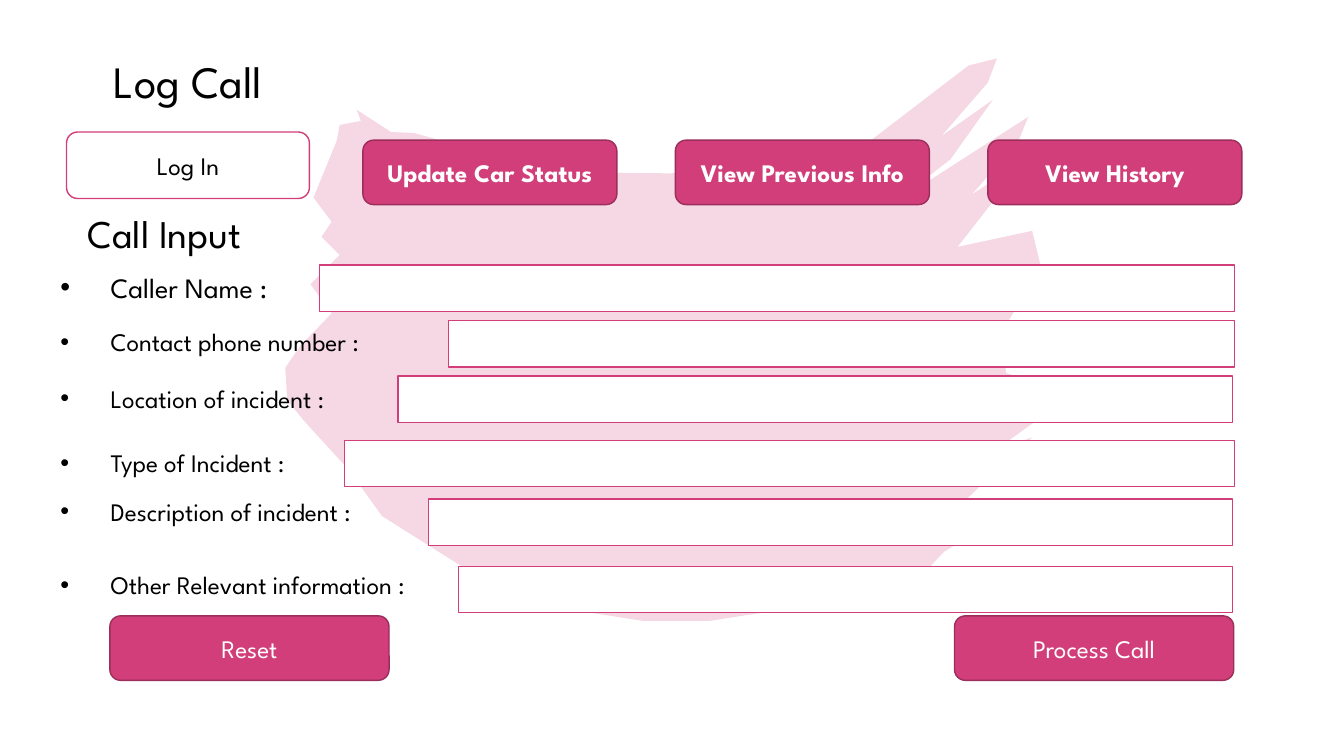
"""Build the Log Call form slide with its navigation buttons and input fields."""
from pptx import Presentation
from pptx.dml.color import RGBColor
from pptx.enum.shapes import MSO_SHAPE
from pptx.enum.text import MSO_ANCHOR, MSO_AUTO_SIZE, PP_ALIGN
from pptx.oxml.ns import qn
from pptx.util import Pt
from lxml.etree import SubElement

PX = 9144
FONT = "League Spartan"
COLORS = {"pink": "D13E79", "dark": "9B2E5A", "white": "FFFFFF", "black": "000000"}
RGB = {name: RGBColor.from_string(value) for name, value in COLORS.items()}


def add_box(kind, x, y, w, h, fill, line):
    sp = s.shapes.add_shape(kind, x * PX, y * PX, w * PX, h * PX)
    sp.shadow.inherit = False
    sp.fill.solid()
    sp.fill.fore_color.rgb = RGB[fill]
    sp.line.color.rgb = RGB[line]
    sp.line.width = Pt(1)
    return sp


def write(sp, text, size, color, align, anchor, bold=False):
    tf = sp.text_frame
    tf.text = text
    tf.word_wrap = True
    tf.vertical_anchor = anchor
    if anchor == MSO_ANCHOR.TOP:
        tf.auto_size = MSO_AUTO_SIZE.SHAPE_TO_FIT_TEXT
    p = tf.paragraphs[0]
    p.alignment = align
    font = p.runs[0].font
    font.name, font.size, font.bold = FONT, Pt(size), bold
    font.color.rgb = RGB[color]
    return p


prs = Presentation()
prs.slide_width, prs.slide_height = 12192000, 750 * PX
s = prs.slides.add_slide(prs.slide_layouts[5])

title = s.shapes.title
title.left, title.top, title.width, title.height = 66 * PX, 48 * PX, 241 * PX, 64 * PX
write(title, "Log Call", 32, "black", PP_ALIGN.CENTER, MSO_ANCHOR.TOP)

brush = [
    (443, 141), (508, 161), (578, 171), (665, 172), (769, 167), (863, 140), (961, 65),
    (989, 58), (980, 82), (934, 135), (985, 99), (943, 158), (888, 201), (1020, 116),
    (1010, 141), (964, 193), (1017, 159), (950, 245), (1024, 229), (1032, 262),
    (976, 303), (1014, 296), (994, 329), (998, 370), (1046, 386), (1015, 404),
    (1048, 403), (987, 447), (1024, 434), (959, 495), (980, 494), (927, 528),
    (982, 521), (937, 547), (920, 565), (793, 602), (704, 616), (638, 616), (574, 606),
    (520, 591), (471, 570), (379, 512), (346, 466), (302, 418), (285, 397), (283, 365),
    (298, 343), (329, 311), (308, 282), (337, 253), (319, 235), (329, 220), (311, 196),
    (334, 140), (337, 124), (358, 120), (354, 109), (388, 131), (411, 132),
]
fb = s.shapes.build_freeform(*brush[0], scale=PX)
fb.add_line_segments(brush[1:], close=True)
blob = fb.convert_to_shape()
blob.shadow.inherit = False
blob.fill.solid()
blob.fill.fore_color.rgb = RGB["pink"]
blob.line.fill.background()
SubElement(blob.element.spPr.find(".//" + qn("a:srgbClr")), qn("a:alpha"), val="20000")
title.element.addprevious(blob.element)

buttons = [
    ("Reset", 109, 611, 277, False),
    ("Process Call", 947, 611, 277, False),
]
for i, name in enumerate(["Update Car Status", "View Previous Info", "View History"]):
    buttons.append((name, 360 + 310 * i, 139, 252, True))
for text, x, y, w, bold in buttons:
    sp = add_box(MSO_SHAPE.ROUNDED_RECTANGLE, x, y, w, 64, "pink", "dark")
    write(sp, text, 18, "white", PP_ALIGN.CENTER, MSO_ANCHOR.MIDDLE, bold)

heading = s.shapes.add_textbox(77 * PX, 203 * PX, 240 * PX, 57 * PX)
write(heading, "Call Input", 28, "black", PP_ALIGN.LEFT, MSO_ANCHOR.TOP)

fields = [
    ("Caller Name :", 20, 263, 317, 263, 1225),
    ("Contact phone number :", 18, 319, 445, 318, 1225),
    ("Location of incident :", 18, 375, 395, 373, 1223),
    ("Type of Incident :", 18, 439, 342, 437, 1225),
    ("Description of incident :", 18, 487, 425, 495, 1223),
    ("Other Relevant information :", 18, 560, 455, 562, 1223),
]
for text, size, label_y, x, y, right in fields:
    label = s.shapes.add_textbox(50 * PX, label_y * PX, 395 * PX, (2 * size + 4) * PX)
    p = write(label, text, size, "black", PP_ALIGN.LEFT, MSO_ANCHOR.TOP)
    pPr = p._p.get_or_add_pPr()
    pPr.set("marL", str(50 * PX))
    pPr.set("indent", str(-50 * PX))
    SubElement(pPr, qn("a:buFont"), typeface="Arial")
    SubElement(pPr, qn("a:buChar"), char="•")
    add_box(MSO_SHAPE.RECTANGLE, x, y, right - x, 46, "white", "pink")
label.width = 425 * PX

log_in = add_box(MSO_SHAPE.ROUNDED_RECTANGLE, 66, 131, 241, 66, "white", "pink")
write(log_in, "Log In", 18, "black", PP_ALIGN.CENTER, MSO_ANCHOR.MIDDLE)

prs.save("out.pptx")
